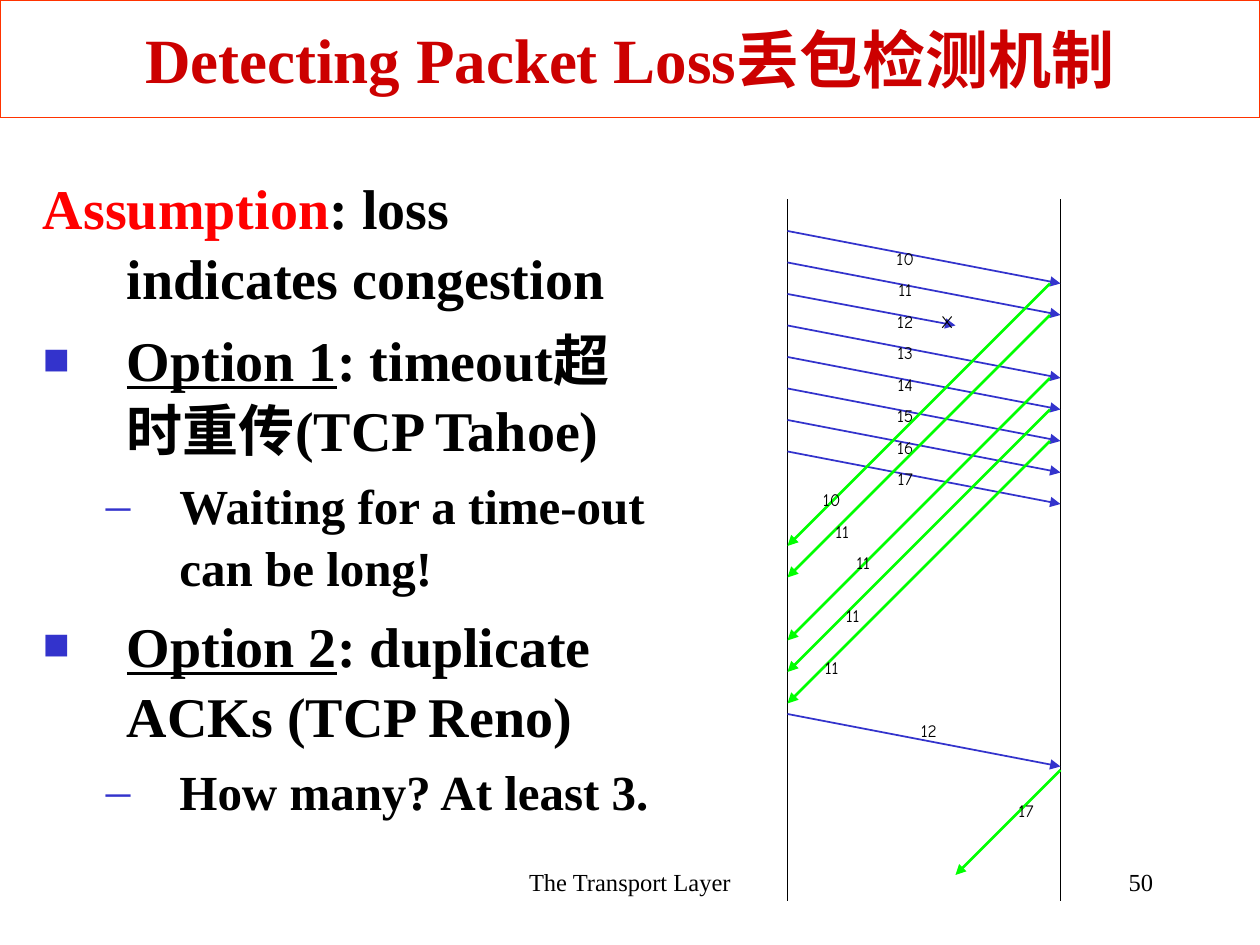
from dataclasses import dataclass

from lxml import etree
from pptx import Presentation
from pptx.dml.color import RGBColor
from pptx.enum.shapes import MSO_CONNECTOR, MSO_SHAPE
from pptx.enum.text import MSO_ANCHOR, PP_ALIGN
from pptx.oxml.ns import qn
from pptx.util import Pt

LEFT, CENTER, RIGHT = PP_ALIGN.LEFT, PP_ALIGN.CENTER, PP_ALIGN.RIGHT
MIDDLE = MSO_ANCHOR.MIDDLE
STRAIGHT = MSO_CONNECTOR.STRAIGHT
RECT = MSO_SHAPE.RECTANGLE


@dataclass(frozen=True)
class Theme:
    serif: str = "Times New Roman"
    label: str = "Comic Neue"
    black: str = "000000"
    title: str = "CC0000"
    frame: str = "FF3300"
    accent: str = "FF0000"
    packet: str = "3333CC"
    ack: str = "00FF00"
    title_size: int = 36
    body_sizes: tuple = (32, 28)
    footer_size: int = 14
    label_size: int = 10


class SlideBuilder:
    def __init__(self, slide, theme):
        self.s = slide
        self.t = theme

    def run(self, p, text, size, color, font=None, bold=False, underline=False):
        r = p.add_run()
        r.text = text
        r.font.size = Pt(size)
        r.font.name = font or self.t.serif
        r.font.color.rgb = RGBColor.from_string(color)
        r.font.bold = bold
        r.font.underline = underline

    def box(self, x, y, w, h):
        sp = self.s.shapes.add_textbox(Pt(x), Pt(y), Pt(w), Pt(h))
        sp.text_frame.word_wrap = True
        return sp.text_frame

    def text(self, text, x, y, w, h, size, align=CENTER, font=None):
        p = self.box(x, y, w, h).paragraphs[0]
        p.alignment = align
        self.run(p, text, size, self.t.black, font)

    def label(self, text, x, y):
        self.text(text, x, y, 26.5, 19.5, self.t.label_size, font=self.t.label)

    def title(self, text, w, h):
        sp = self.s.shapes.add_shape(RECT, 0, 0, Pt(w), Pt(h))
        sp.shadow.inherit = False
        sp.fill.background()
        sp.line.color.rgb = RGBColor.from_string(self.t.frame)
        sp.line.width = Pt(0.75)
        tf = sp.text_frame
        tf.word_wrap = True
        tf.vertical_anchor = MIDDLE
        p = tf.paragraphs[0]
        p.alignment = CENTER
        self.run(p, text, self.t.title_size, self.t.title, bold=True)

    def bullet(self, pPr, char, percent):
        color = etree.SubElement(pPr, qn("a:buClr"))
        etree.SubElement(color, qn("a:srgbClr"), val=self.t.packet)
        etree.SubElement(pPr, qn("a:buSzPct"), val=str(percent * 1000))
        etree.SubElement(pPr, qn("a:buFont"), typeface=self.t.serif)
        etree.SubElement(pPr, qn("a:buChar"), char=char)

    def body(self, items, x, y, w, h):
        tf = self.box(x, y, w, h)
        for i, (level, bullet, runs) in enumerate(items):
            p = tf.add_paragraph() if i else tf.paragraphs[0]
            size = self.t.body_sizes[level]
            margin, indent = ((48, 48), (78, 42))[level]
            p.level = level
            p.alignment = LEFT
            p.line_spacing = 1.05
            p.space_before = Pt(size * 0.2)
            pPr = p._p.get_or_add_pPr()
            pPr.set("marL", str(Pt(margin)))
            pPr.set("indent", str(-Pt(indent)))
            if bullet:
                self.bullet(pPr, *bullet)
            for text, color, underline in runs:
                self.run(p, text, size, color, bold=True, underline=underline)

    def line(self, x1, y1, x2, y2, color, width, arrow=True):
        c = self.s.shapes.add_connector(STRAIGHT, Pt(x1), Pt(y1), Pt(x2), Pt(y2))
        c.line.color.rgb = RGBColor.from_string(color)
        c.line.width = Pt(width)
        if arrow:
            etree.SubElement(c.line._get_or_add_ln(), qn("a:tailEnd"), type="triangle")
        etree.SubElement(c._element.spPr, qn("a:effectLst"))

    def packet(self, y, x2, y2):
        self.line(SENDER, y, x2, y2, self.t.packet, 1)

    def ack(self, x1, y1, x2, y2):
        self.line(x1, y1, x2, y2, self.t.ack, 1.5)


SENDER, RECEIVER = 450, 606
STEP = 18
FIRST_SEND = 132
LOST = 12
SQUARE, DASH = ("■", 80), ("–", 100)


def main():
    prs = Presentation()
    prs.slide_width, prs.slide_height = Pt(720), Pt(540)
    t = Theme()
    b = SlideBuilder(prs.slides.add_slide(prs.slide_layouts[6]), t)

    b.text("The Transport Layer", 246, 492, 228, 36, t.footer_size)
    b.text("50", 516, 492, 150, 36, t.footer_size, RIGHT)
    b.title("Detecting Packet Loss丢包检测机制", 720, 67)
    b.body([
        (0, None, [("Assumption", t.accent, False),
                   (": loss indicates congestion", t.black, False)]),
        (0, SQUARE, [("Option 1", t.black, True),
                     (": timeout超时重传(TCP Tahoe)", t.black, False)]),
        (1, DASH, [("Waiting for a time-out can be long!", t.black, False)]),
        (0, SQUARE, [("Option 2", t.black, True),
                     (": duplicate ACKs (TCP Reno)", t.black, False)]),
        (1, DASH, [("How many? At least 3.", t.black, False)]),
    ], 17.5, 93.5, 365, 379.5)

    for x in (SENDER, RECEIVER):
        b.line(x, 114, x, 515, t.black, 0.75, arrow=False)

    for i, number in enumerate(range(10, 18)):
        y = FIRST_SEND + i * STEP
        if number == LOST:
            b.packet(y, 546, y + 18)
            b.label("X", 528, y + 6)
        else:
            b.packet(y, RECEIVER, y + 30)
        b.label(str(number), 504, y + 6)

    acks = [(162, "10", 462, 276), (180, "11", 468, 294), (216, "11", 480, 312),
            (234, "11", 474, 342), (252, "11", 462, 372)]
    for y, number, label_x, label_y in acks:
        b.ack(600, y, SENDER, y + 150)
        b.label(number, label_x, label_y)

    b.packet(408, RECEIVER, 438)
    b.label("12", 517.5, 408)
    b.ack(RECEIVER, 440, 546, 500)
    b.label("17", 573, 453.5)

    prs.save("out.pptx")


if __name__ == "__main__":
    main()
